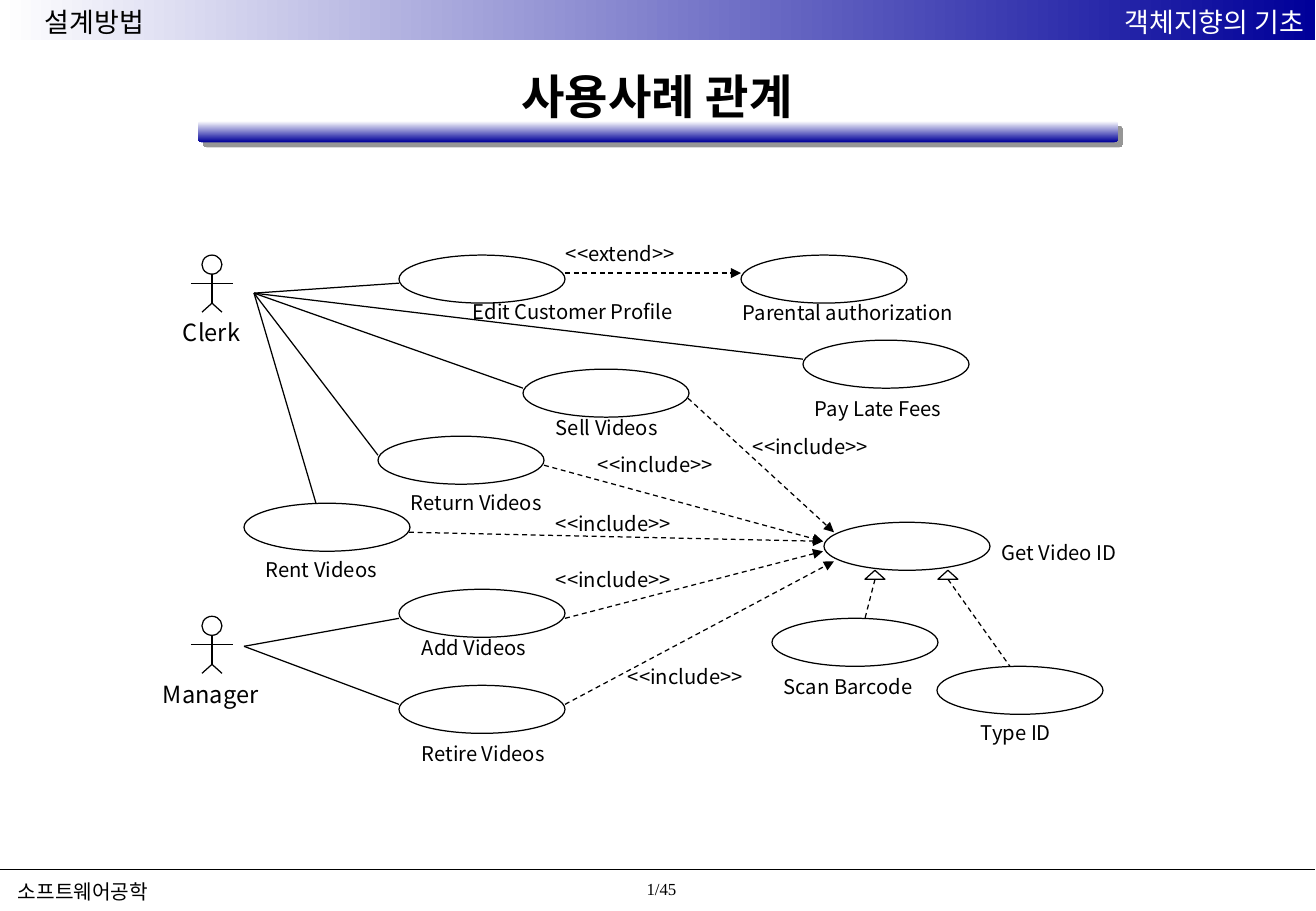
import dataclasses

import lxml.etree
import pptx
import pptx.dml.color
import pptx.enum.dml
import pptx.enum.shapes
import pptx.enum.text
import pptx.oxml.ns
import pptx.util

# Content: places and lengths are in px, the slide size in inches
SLIDE_INCHES = (10.84, 7.5)
PX_PER_INCH = 121.4
TITLE = ("사용사례 관계", (98, 61, 1118, 70))
HEADER_BAR = (0, 0, 1315, 40)
TITLE_BAR = (198, 121, 920, 21)
FOOTER_LINE = ((0, 869), (1315, 869))

CASE_SIZE = (166, 48)
LABEL_HEIGHT = 36
USE_CASES = [  # ellipse corner, label, label corner, label width
    ((399, 255), "Edit Customer Profile", (461, 293), 311),
    ((741, 255), "Parental authorization", (731, 294), 256),
    ((803, 340), "Pay Late Fees", (803, 390), 238),
    ((523, 369), "Sell Videos", (544, 409), 238),
    ((378, 436), "Return Videos", (399, 484), 238),
    ((244, 503), "Rent Videos", (254, 551), 238),
    ((824, 522), "Get Video ID", (990, 534), 238),
    ((399, 589), "Add Videos", (410, 629), 238),
    ((399, 685), "Retire Videos", (410, 735), 238),
    ((772, 618), "Scan Barcode", (772, 668), 238),
    ((937, 666), "Type ID", (969, 714), 238),
]
ACTORS = [  # name, head top centre, label box, line origin, line ends
    ("Manager", (212, 616), (151, 674, 144, 41), (244, 646),
     [(399, 618), (399, 704)]),
    ("Clerk", (212, 255), (171, 312, 125, 41), (254, 293),
     [(399, 283), (803, 359), (523, 388), (378, 455), (316, 503)]),
]
STEREOTYPE_WIDTH = 155
DEPENDENCIES = [  # start, end, stereotype, label corner
    ((565, 273), (741, 273), "<<extend>>", (554, 235)),
    ((688, 398), (834, 532), "<<include>>", (741, 428)),
    ((544, 465), (823, 541), "<<include>>", (586, 446)),
    ((409, 532), (823, 541), "<<include>>", (544, 505)),
    ((565, 618), (823, 551), "<<include>>", (544, 561)),
    ((565, 704), (834, 561), "<<include>>", (616, 658)),
]
GENERALIZATIONS = [  # triangle tip, end of the dashed line
    ((875, 570), (865, 618)),
    ((948, 570), (1010, 666)),
]
TRIANGLE_SIZE = (20, 9)


@dataclasses.dataclass(frozen=True)
class Theme:
    black: str = "000000"
    white: str = "FFFFFF"
    navy: str = "000099"
    shadow: str = "969696"
    sans: str = "Noto Sans CJK KR"
    serif: str = "Times New Roman"
    title_font: str = "Arial"
    title_size: int = 28
    header_size: int = 16
    actor_size: int = 14
    label_size: int = 12
    page_size: int = 10
    thin: float = 0.75
    rule: float = 1


THEME = Theme()
ALIGN = pptx.enum.text.PP_ALIGN
SHAPE = pptx.enum.shapes.MSO_SHAPE


def px(length):
    return pptx.util.Inches(length / PX_PER_INCH)


def rgb(value):
    return pptx.dml.color.RGBColor.from_string(value)


def add_element(parent, tag, **attributes):
    return lxml.etree.SubElement(parent, pptx.oxml.ns.qn(tag), attributes)


def write(frame, text, size, font=THEME.sans, color=THEME.black,
          align=ALIGN.LEFT, bold=False):
    paragraph = frame.paragraphs[0]
    paragraph.alignment = align
    run = paragraph.add_run()
    run.text = text
    run.font.size = pptx.util.Pt(size)
    run.font.name = font
    run.font.bold = bold
    run.font.color.rgb = rgb(color)
    add_element(run.font._element, "a:ea", typeface=THEME.sans)
    return paragraph


def add_text(slide, box, text, size, wrap=True, **style):
    frame = slide.shapes.add_textbox(*map(px, box)).text_frame
    frame.word_wrap = wrap
    frame.auto_size = pptx.enum.text.MSO_AUTO_SIZE.SHAPE_TO_FIT_TEXT
    return write(frame, text, size, **style)


def add_outline(slide, kind, box):
    shape = slide.shapes.add_shape(kind, *map(px, box))
    shape.shadow.inherit = False
    shape.fill.background()
    shape.line.color.rgb = rgb(THEME.black)
    shape.line.width = pptx.util.Pt(THEME.thin)


def add_gradient_bar(slide, kind, box, angle):
    shape = slide.shapes.add_shape(kind, *map(px, box))
    shape.fill.gradient()
    shape.fill.gradient_angle = angle
    for stop, color in zip(shape.fill.gradient_stops, (THEME.white, THEME.navy)):
        stop.color.rgb = rgb(color)
    shape.line.fill.background()
    shape.shadow.inherit = False
    return shape


def add_line(slide, start, end, width=THEME.thin, dashed=False, arrow=False):
    line = slide.shapes.add_connector(
        pptx.enum.shapes.MSO_CONNECTOR.STRAIGHT, *map(px, (*start, *end)))
    line.line.color.rgb = rgb(THEME.black)
    line.line.width = pptx.util.Pt(width)
    if dashed:
        line.line.dash_style = pptx.enum.dml.MSO_LINE.DASH
    if arrow:
        outline = line._element.spPr.find(pptx.oxml.ns.qn("a:ln"))
        add_element(outline, "a:tailEnd", type="triangle")
    add_element(line._element.spPr, "a:effectLst")


def add_frame(slide):
    # Header and footer
    add_gradient_bar(slide, SHAPE.RECTANGLE, HEADER_BAR, 0)
    add_text(slide, (33, 0, 460, 45), "설계방법", THEME.header_size, font=THEME.serif)
    add_text(slide, (998, 0, 318, 45), "객체지향의 기초", THEME.header_size,
             font=THEME.serif, color=THEME.white, align=ALIGN.RIGHT)
    add_text(slide, (603, 872, 117, 33), "1/45", THEME.page_size, wrap=False,
             font=THEME.serif, align=ALIGN.CENTER)
    course = add_text(slide, (6, 870, 155, 39), "소프트웨어공학", THEME.label_size,
                      wrap=False)
    course.line_spacing = 1.1
    add_line(slide, *FOOTER_LINE, width=THEME.rule)

    # Title and the bar under it
    bar = add_gradient_bar(slide, SHAPE.ROUNDED_RECTANGLE, TITLE_BAR, 270)
    effects = bar._element.spPr.find(pptx.oxml.ns.qn("a:effectLst"))
    shadow = add_element(effects, "a:outerShdw", dist=str(int(pptx.util.Pt(4.2))),
                         dir="2700000")
    add_element(shadow, "a:srgbClr", val=THEME.shadow)

    text, box = TITLE
    title = slide.shapes.title
    title.left, title.top, title.width, title.height = map(px, box)
    title.text_frame.vertical_anchor = pptx.enum.text.MSO_ANCHOR.MIDDLE
    write(title.text_frame, text, THEME.title_size, font=THEME.title_font,
          align=ALIGN.CENTER, bold=True)
    slide.shapes._spTree.append(title._element)


def add_actor(slide, name, head, label_box, origin, ends):
    x, y = head
    add_outline(slide, SHAPE.OVAL, (x - 10, y, 20, 19))
    hip = (x, y + 48)
    add_line(slide, (x - 21, y + 28), (x + 21, y + 28))
    add_line(slide, (x, y + 19), hip)
    for side in (-10, 10):
        add_line(slide, hip, (x + side, y + 57))
    add_text(slide, label_box, name, THEME.actor_size)
    for end in ends:
        add_line(slide, origin, end)


def add_diagram(slide):
    for actor in ACTORS:
        add_actor(slide, *actor)

    # Use cases and their names
    for corner, name, label_corner, width in USE_CASES:
        add_outline(slide, SHAPE.OVAL, (*corner, *CASE_SIZE))
        add_text(slide, (*label_corner, width, LABEL_HEIGHT), name, THEME.label_size)

    # Relations between use cases
    for start, end, stereotype, corner in DEPENDENCIES:
        add_line(slide, start, end, dashed=True, arrow=True)
        add_text(slide, (*corner, STEREOTYPE_WIDTH, LABEL_HEIGHT), stereotype,
                 THEME.label_size)
    width, height = TRIANGLE_SIZE
    for (x, y), end in GENERALIZATIONS:
        add_outline(slide, SHAPE.ISOSCELES_TRIANGLE, (x - width / 2, y, width, height))
        add_line(slide, (x, y + height), end, dashed=True)


def main():
    presentation = pptx.Presentation()
    presentation.slide_width, presentation.slide_height = map(
        pptx.util.Inches, SLIDE_INCHES)
    slide = presentation.slides.add_slide(presentation.slide_layouts[5])
    add_frame(slide)
    add_diagram(slide)
    presentation.save("out.pptx")


if __name__ == "__main__":
    main()
